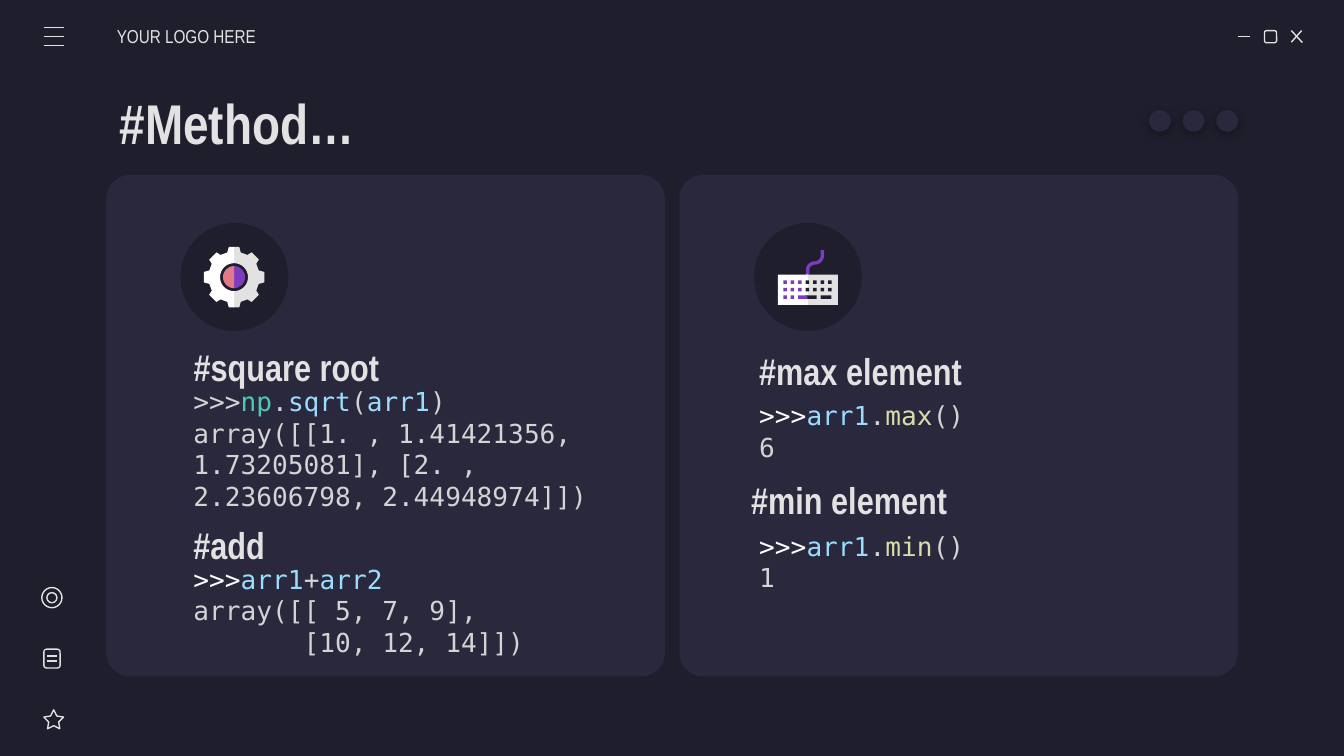
from math import cos, radians, sin

from lxml.etree import SubElement
from pptx import Presentation
from pptx.dml.color import RGBColor
from pptx.enum.shapes import MSO_CONNECTOR as Link, MSO_SHAPE as Kind
from pptx.enum.text import MSO_ANCHOR as Anchor, MSO_AUTO_SIZE as Fit, PP_ALIGN as Align
from pptx.oxml.ns import qn
from pptx.util import Pt

INK = RGBColor(0x1E, 0x1E, 0x2C)
CARD = RGBColor(0x29, 0x28, 0x3D)
PALE = RGBColor(0xE2, 0xE2, 0xE2)
WHITE = RGBColor(0xFF, 0xFF, 0xFF)
VIOLET = RGBColor(0x7E, 0x3B, 0xBE)
ROSE = RGBColor(0xE0, 0x7A, 0x88)
GREY = RGBColor(0xD4, 0xD4, 0xD4)
TEAL = RGBColor(0x4E, 0xC9, 0xB0)
SKY = RGBColor(0x9C, 0xDC, 0xFE)
SAND = RGBColor(0xDC, 0xDC, 0xAA)

HEAD = "Arial Narrow"
CODE = "DejaVu Sans Mono"


def paint(shape, fill=None, line=None):
    shape.shadow.inherit = False
    if fill is None:
        shape.fill.background()
    else:
        shape.fill.solid()
        shape.fill.fore_color.rgb = fill
    if line is None:
        shape.line.fill.background()
    else:
        shape.line.color.rgb = line
        shape.line.width = Pt(0.75)


def draw(slide, kind, x, y, w, h, fill=None, line=None, adj=()):
    shape = slide.shapes.add_shape(kind, Pt(x), Pt(y), Pt(w), Pt(h))
    for i, value in enumerate(adj):
        shape.adjustments[i] = value
    paint(shape, fill, line)
    return shape


def stroke(slide, x1, y1, x2, y2):
    line = slide.shapes.add_connector(Link.STRAIGHT, Pt(x1), Pt(y1), Pt(x2), Pt(y2))
    line.line.color.rgb = PALE
    line.line.width = Pt(0.75)
    SubElement(line.element.spPr, qn("a:effectLst"))


def trace(slide, points, fill):
    spots = [(Pt(x), Pt(y)) for x, y in points]
    path = slide.shapes.build_freeform(*spots[0])
    path.add_line_segments(spots[1:], close=True)
    paint(path.convert_to_shape(), fill)


def arc(x, y, r, start, end, steps=16):
    turns = [radians(start + (end - start) * i / steps) for i in range(steps + 1)]
    return [(x + r * cos(t), y + r * sin(t)) for t in turns]


def write(box, lines, size=20, font=HEAD, bold=False, pads=(7.2,) * 4,
          anchor=Anchor.MIDDLE, fit=Fit.NONE, space=None):
    """Fill a box with lines, each a list of (text, colour) runs."""
    frame = box.text_frame
    frame.word_wrap = True
    frame.auto_size = fit
    frame.vertical_anchor = anchor
    (frame.margin_left, frame.margin_top,
     frame.margin_right, frame.margin_bottom) = [Pt(p) for p in pads]
    for i, line in enumerate(lines):
        para = frame.add_paragraph() if i else frame.paragraphs[0]
        para.alignment = Align.LEFT
        para.space_before = Pt(0)
        if space:
            para.line_spacing = Pt(space)
        for text, hue in line:
            run = para.add_run()
            run.text = text
            run.font.name = font
            run.font.size = Pt(size)
            run.font.bold = bold
            run.font.color.rgb = hue


def place(box, x, y, w, h):
    box.left, box.top, box.width, box.height = Pt(x), Pt(y), Pt(w), Pt(h)
    box.element.getparent().append(box.element)  # bring to front


def label(slide, x, y, w, h, lines, **style):
    box = slide.shapes.add_textbox(Pt(x), Pt(y), Pt(w), Pt(h))
    write(box, lines, **style)


def code(slide, x, y, h, lines):
    label(slide, x, y, 240, h, lines, size=14, font=CODE, anchor=Anchor.TOP,
          pads=(7.2, 3.6, 7.2, 3.6), fit=Fit.SHAPE_TO_FIT_TEXT, space=16.9)


def disc(slide, x):
    draw(slide, Kind.OVAL, x, 119.5, 57.8, 57.8, INK)
    pie = draw(slide, Kind.PIE, x, 119.5, 58, 58, INK, adj=(32.63, 97.2))
    pie.rotation = 180


def gear(slide, x, y):
    eighth = [(2.8, 16.2), (3.6, 13.2), (7.2, 11.9), (9.4, 13.3)]
    fourth = eighth + [(b, a) for a, b in reversed(eighth)]
    teeth = [(a, -b) for a, b in fourth] + fourth[::-1]
    # The right half reaches a little under the left one
    for side, lap, rim, core in ((1, 1.4, PALE, VIOLET), (-1, 0, WHITE, ROSE)):
        ring = [(0, -16.2), *teeth, (0, 16.2), (-lap, 11), *arc(0, 0, 7.5, 90, -90), (-lap, -11)]
        hub = [*arc(0, 0, 5.9, -90, 90), (-lap, 0)]
        for points, fill in ((ring, rim), (hub, core)):
            trace(slide, [(x + side * a, y + b) for a, b in points], fill)


def keys(slide):
    # Cable and two-tone body
    cable = [(439.7, 134), *arc(436.5, 136.8, 3.2, 0, 90), *arc(436.5, 144.7, 4.7, 270, 180),
             (431.8, 149), (433.6, 149), *arc(436.5, 144.7, 2.9, 180, 270),
             *arc(436.5, 136.8, 5, 90, 0), (441.5, 134)]
    trace(slide, cable, VIOLET)
    draw(slide, Kind.RECTANGLE, 431.4, 147.2, 17.5, 16.2, PALE)
    draw(slide, Kind.RECTANGLE, 416.8, 147.2, 16.1, 16.2, WHITE)
    # Two full rows, then the row with long keys: row, column, width, colour
    caps = [(row, col, 1.9, VIOLET if col < 3 else INK) for row in range(2) for col in range(7)]
    caps += [(2, 0, 1.9, VIOLET), (2, 1, 1.9, VIOLET), (2, 5, 5.9, INK),
             (2, 3, 5.9, INK), (2, 2, 4.9, VIOLET)]
    for row, col, w, fill in caps:
        draw(slide, Kind.RECTANGLE, 419.6 + 4 * col, 150.2 + 4 * row, w, 1.9, fill)


def dot(slide, x):
    shape = draw(slide, Kind.OVAL, x, 59, 11.6, 11.6, CARD)
    list_ = shape.element.spPr.find(qn("a:effectLst"))
    cast = SubElement(list_, qn("a:outerShdw"), blurRad=str(Pt(4.5)), dist=str(Pt(1.5)),
                      dir="5400000", algn="bl", rotWithShape="0")
    black = SubElement(cast, qn("a:srgbClr"), val="000000")
    SubElement(black, qn("a:alpha"), val="30000")


def frame_art(slide):
    # Menu and window buttons
    for y in (14.8, 19.6, 24.4):
        stroke(slide, 23.4, y, 34.2, y)
    stroke(slide, 663, 19.6, 669.6, 19.6)
    draw(slide, Kind.ROUNDED_RECTANGLE, 677.4, 16.4, 6.5, 6.5, line=PALE)
    stroke(slide, 691.8, 16.4, 697.7, 22.8)
    stroke(slide, 697.3, 16.4, 691.8, 22.6)
    # Side icons
    draw(slide, Kind.OVAL, 22.4, 314.8, 10.8, 10.8, line=PALE)
    draw(slide, Kind.OVAL, 25.1, 317.5, 5.4, 5.4, line=PALE)
    draw(slide, Kind.ROUNDED_RECTANGLE, 23.5, 347.8, 8.7, 10.1, line=PALE)
    for y in (351.5, 354.2):
        stroke(slide, 25.2, y, 30.4, y)
    draw(slide, Kind.STAR_5_POINT, 23.5, 380.3, 10.6, 10.2, line=PALE, adj=(0.254,))


def main():
    deck = Presentation()
    deck.slide_width, deck.slide_height = Pt(720), Pt(405)
    slide = deck.slides.add_slide(deck.slide_layouts[0])
    slide.background.fill.solid()
    slide.background.fill.fore_color.rgb = INK

    # Cards and icons
    for x in (56.9, 363.9):
        draw(slide, Kind.ROUNDED_RECTANGLE, x, 93.8, 299.3, 268.6, CARD, adj=(0.047,))
    frame_art(slide)
    for x in (96.7, 403.9):
        disc(slide, x)
    gear(slide, 125.4, 148.5)
    keys(slide)
    for i in range(3):
        dot(slide, 615.6 + 18 * i)

    # Title and first heading
    title, first = slide.placeholders
    place(title, 56.9, 42.5, 607, 45.4)
    write(title, [[("#Method…", PALE)]], size=30, bold=True)
    place(first, 96.5, 177.8, 231.8, 36.7)
    write(first, [[("#square root", PALE)]], bold=True)

    # Other headings
    label(slide, 62.6, 8.6, 84.2, 21.6, [[("YOUR LOGO HERE", PALE)]], size=10,
          pads=(0, 7.2, 7.2, 7.2))
    for text, x, y in (("#add", 96.5, 273.6), ("#max element", 399.6, 180),
                       ("#min element", 395.3, 249.1)):
        label(slide, x, y, 231.8, 36.7, [[(text, PALE)]], bold=True)

    # Code samples
    code(slide, 96.5, 203, 74.9, [
        [(">>>", GREY), ("np", TEAL), (".", GREY), ("sqrt", SKY), ("(", GREY),
         ("arr1", SKY), (")", GREY)],
        [("array([[1. , 1.41421356, 1.73205081], [2. , 2.23606798, 2.44948974]])", GREY)]])
    code(slide, 96.5, 298.1, 58.3, [
        [(">>>", WHITE), ("arr1", SKY), ("+", GREY), ("arr2", SKY)],
        [("array([[ 5, 7, 9],", GREY)],
        [("       [10, 12, 14]])", GREY)]])
    for name, result, y in (("max", "6", 210.5), ("min", "1", 280.3)):
        code(slide, 399.6, y, 41, [
            [(">>>", WHITE), ("arr1", SKY), (".", GREY), (name, SAND), ("()", GREY)],
            [(result, GREY)]])

    deck.save("out.pptx")


if __name__ == "__main__":
    main()
